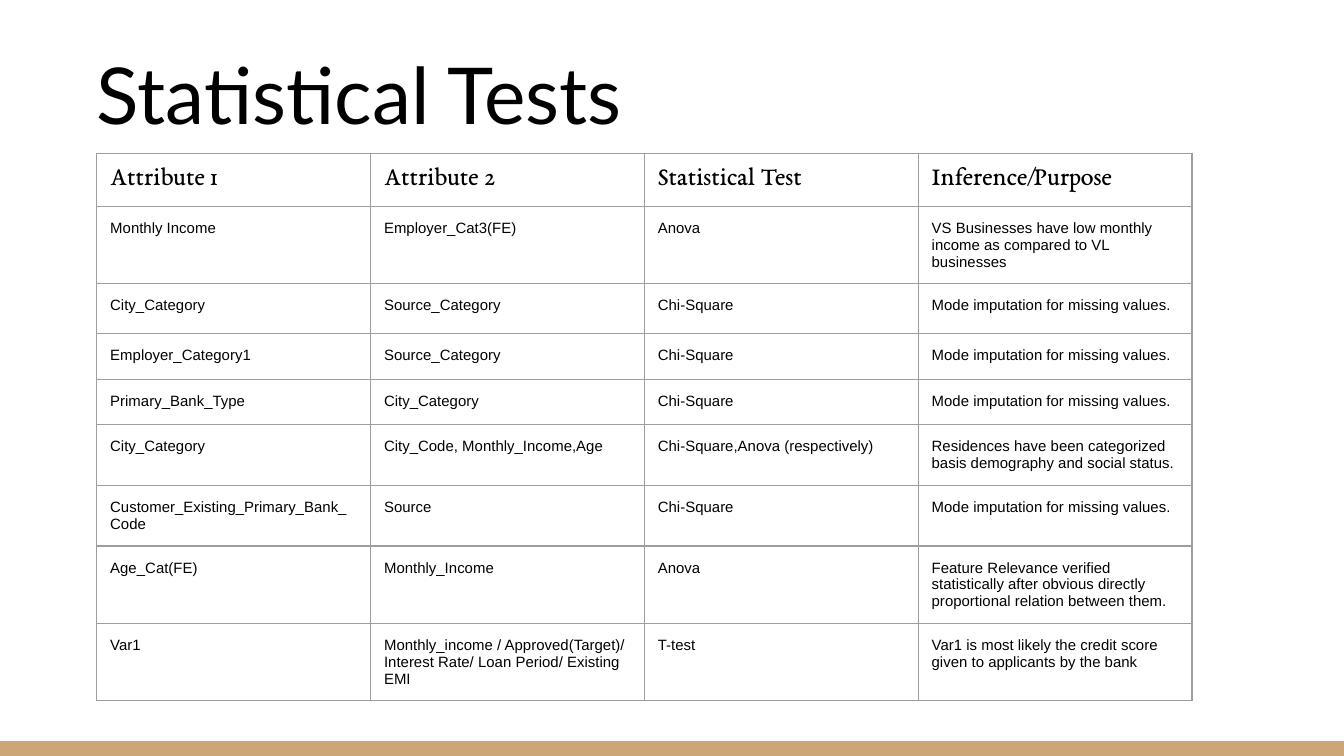
from lxml.etree import SubElement
from pptx import Presentation
from pptx.dml.color import RGBColor
from pptx.enum.shapes import MSO_SHAPE
from pptx.enum.text import MSO_ANCHOR, MSO_AUTO_SIZE, PP_ALIGN
from pptx.oxml.ns import qn
from pptx.util import Inches, Pt

COLORS = {"text": "000000", "bar": "CCA677", "border": "9E9E9E"}
TITLE = {"name": "Lato", "size": Pt(42), "bold": False}
HEADER = {"name": "EB Garamond", "size": Pt(14), "bold": False}
BODY = {"name": "Arial", "size": Pt(8), "bold": False}
MARGINS = ("margin_left", "margin_top", "margin_right", "margin_bottom")

MODE = "Mode imputation for missing values."
ROWS = [
    ("Attribute 1", "Attribute 2", "Statistical Test", "Inference/Purpose"),
    ("Monthly Income", "Employer_Cat3(FE)", "Anova",
     "VS Businesses have low monthly income as compared to VL businesses"),
    ("City_Category", "Source_Category", "Chi-Square", MODE),
    ("Employer_Category1", "Source_Category", "Chi-Square", MODE),
    ("Primary_Bank_Type", "City_Category", "Chi-Square", MODE),
    ("City_Category", "City_Code, Monthly_Income,Age", "Chi-Square,Anova (respectively)",
     "Residences have been categorized basis demography and social status."),
    ("Customer_Existing_Primary_Bank_Code", "Source", "Chi-Square", MODE),
    ("Age_Cat(FE)", "Monthly_Income", "Anova",
     "Feature Relevance verified statistically after obvious directly "
     "proportional relation between them."),
    ("Var1", "Monthly_income / Approved(Target)/ Interest Rate/ Loan Period/ Existing EMI",
     "T-test", "Var1 is most likely the credit score given to applicants by the bank"),
]
ROW_HEIGHTS = [0.39, 0.42, 0.37, 0.34, 0.34, 0.42, 0.42, 0.54, 0.42]


def rgb(key):
    return RGBColor.from_string(COLORS[key])


def set_text(holder, text, font_format):
    """Write one left-aligned paragraph with even margins into a cell or text frame."""
    for margin in MARGINS:
        setattr(holder, margin, Inches(0.1))
    tf = getattr(holder, "text_frame", holder)
    tf.text = text
    p = tf.paragraphs[0]
    p.alignment = PP_ALIGN.LEFT
    font = p.runs[0].font
    for name, value in font_format.items():
        setattr(font, name, value)
    font.color.rgb = rgb("text")


def set_borders(cell):
    tc_pr = cell._tc.get_or_add_tcPr()
    for index, side in enumerate(("lnL", "lnR", "lnT", "lnB")):
        ln = SubElement(tc_pr, qn(f"a:{side}"), w=str(Pt(0.75)))
        tc_pr.insert(index, ln)
        fill = SubElement(ln, qn("a:solidFill"))
        SubElement(fill, qn("a:srgbClr"), val=COLORS["border"])


def add_bottom_bar(s, left, top, width, height):
    bar = s.shapes.add_shape(MSO_SHAPE.RECTANGLE, left, top, width, height)
    bar.shadow.inherit = False
    bar.fill.solid()
    bar.fill.fore_color.rgb = rgb("bar")
    bar.line.fill.background()


def place_title(s, left, top, width, height):
    title = s.shapes.title
    title.left, title.top, title.width, title.height = left, top, width, height
    tf = title.text_frame
    tf.auto_size = MSO_AUTO_SIZE.NONE
    tf.vertical_anchor = MSO_ANCHOR.BOTTOM
    set_text(tf, "Statistical Tests", TITLE)


def add_tests_table(s, left, top, width, height):
    n_rows, n_cols = len(ROWS), len(ROWS[0])
    table = s.shapes.add_table(n_rows, n_cols, left, top, width, height).table
    table.first_row = table.horz_banding = False
    for column in table.columns:
        column.width = width // n_cols
    for r, values in enumerate(ROWS):
        table.rows[r].height = Inches(ROW_HEIGHTS[r])
        for c, value in enumerate(values):
            cell = table.cell(r, c)
            cell.fill.background()
            set_text(cell, value, BODY if r else HEADER)
            set_borders(cell)


def main():
    prs = Presentation()
    prs.slide_width = Inches(10)
    prs.slide_height = prs.slide_width * 9 // 16
    s = prs.slides.add_slide(prs.slide_layouts.get_by_name("Title Only"))
    bar_height = Inches(0.11)
    add_bottom_bar(s, 0, prs.slide_height - bar_height, prs.slide_width, bar_height)
    place_title(s, Inches(0.62), Inches(0.23), Inches(9.32), Inches(0.91))
    add_tests_table(s, Inches(0.72), Inches(1.14), Inches(8.15), Inches(sum(ROW_HEIGHTS)))
    prs.save("out.pptx")


if __name__ == "__main__":
    main()
